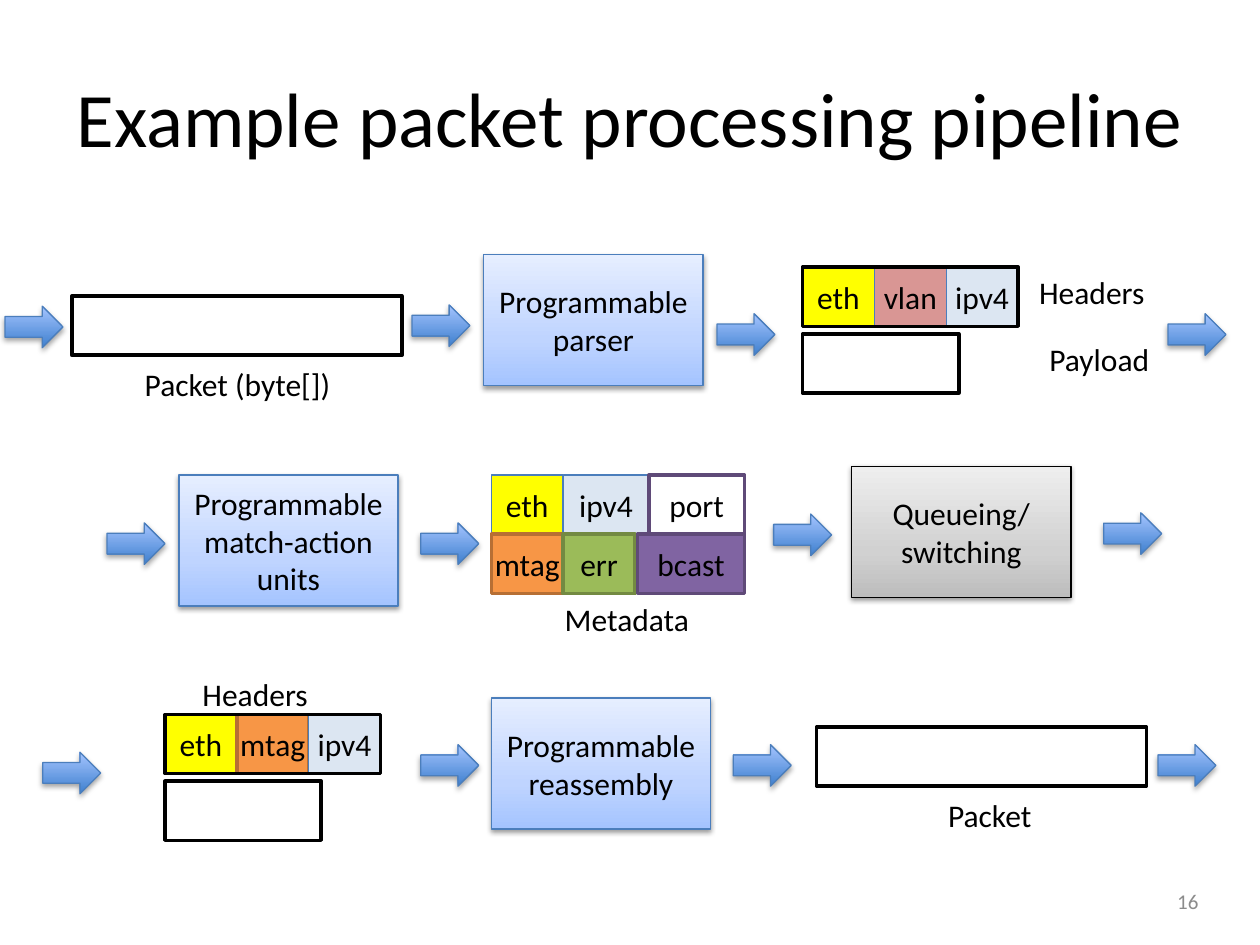
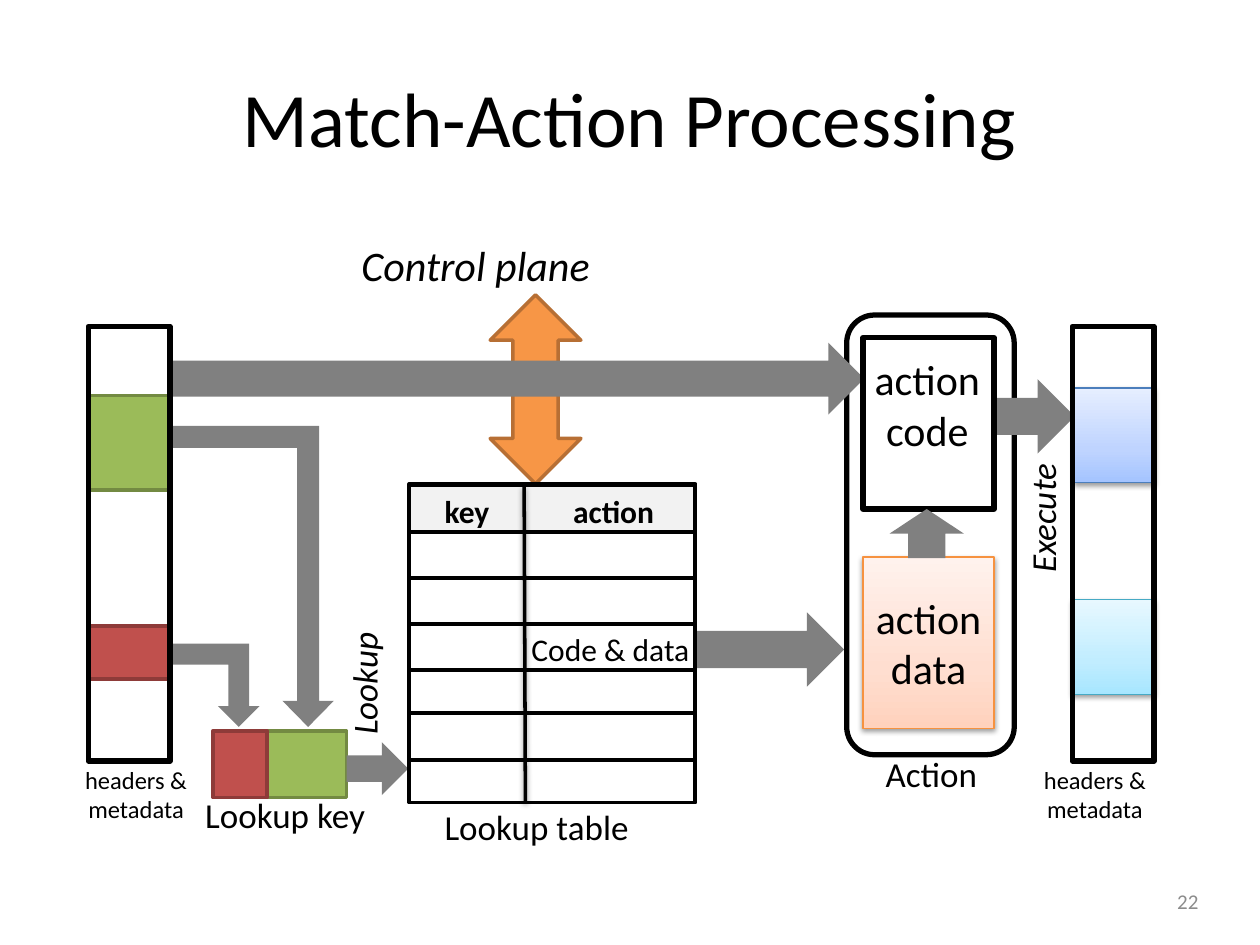
from dataclasses import dataclass
from typing import Iterable, Optional

from lxml.etree import SubElement
from pptx import Presentation
from pptx.dml.color import RGBColor
from pptx.enum.shapes import MSO_CONNECTOR, MSO_SHAPE
from pptx.enum.text import MSO_ANCHOR, MSO_AUTO_SIZE, PP_ALIGN
from pptx.oxml.ns import qn
from pptx.util import Inches, Pt

FONT = "Calibri"
BLACK, WHITE, GRAY = "000000", "FFFFFF", "808080"
BLUE_LINE = "4B7EBC"
FIELD_WIDTH, FIELD_HEIGHT = 0.57, 0.47
STAGE_WIDTH, STAGE_HEIGHT = 1.74, 1.04
ARROW_WIDTH, ARROW_HEIGHT = 0.46, 0.33


@dataclass(frozen=True)
class Shadow:
    """A soft shadow that falls straight down."""
    alpha: int
    distance: float
    blur: float = 3.1


@dataclass(frozen=True)
class Look:
    """Fill (one colour, or gradient colours from the bottom up), outline and shadow."""
    fill: tuple[str, ...] = ()
    line: Optional[str] = None
    line_width: float = 0.75
    shadow: Optional[Shadow] = None


@dataclass(frozen=True)
class Block:
    """A preset shape with optional centred text."""
    left: float
    top: float
    width: float
    height: float
    look: Look
    text: str = ""
    size: int = 18
    kind: MSO_SHAPE = MSO_SHAPE.RECTANGLE
    rotation: int = 0
    flipped: bool = False
    adjustments: tuple[float, ...] = ()


@dataclass(frozen=True)
class Label:
    """Free text in a box that fits it."""
    left: float
    top: float
    width: float
    height: float
    text: str
    size: int = 18
    bold: bool = False
    italic: bool = False
    rotation: int = 0
    align: PP_ALIGN = PP_ALIGN.CENTER
    color: str = BLACK
    fixed: bool = False


@dataclass(frozen=True)
class Field:
    """One packet header or metadata field."""
    text: str
    look: Look
    width: float = FIELD_WIDTH


BOX_SHADOW = Shadow(38, 1.6)
BLUE_BOX = Look(("A4C4FF", "BFD4FF", "E6EEFF"), BLUE_LINE, shadow=BOX_SHADOW)
GRAY_BOX = Look(("BDBDBD", "D1D1D1", "EEEEEE"), BLACK, shadow=BOX_SHADOW)
CYAN_BOX = Look(("A7E6FF", "C1EDFF", "E7F8FF"), "46AAC5", shadow=BOX_SHADOW)
PEACH_BOX = Look(("FFD2BD", "FFDED0", "FFF2ED"), "F69240", shadow=BOX_SHADOW)
FLOW_ARROW = Look(("3F80CE", "A4C4FF"), BLUE_LINE, shadow=Shadow(35, 1.8))
GRAY_ARROW = Look((GRAY,))
PAPER = Look((WHITE,), BLACK, 2)
FRAME = Look((), BLACK, 2)
THICK_FRAME = Look((), BLACK, 3)
TABLE_FRAME = Look((), BLACK, 2.25)
TABLE_HEADER = Look(("F2F2F2",), BLACK, 2.25)
ORANGE = Look(("F79646",), "B76F34", 2)
GREEN = Look(("9BBB59",), "738A42", 2)
RED = Look(("C0504D",), "8E3B39", 2)

ETH = Field("eth", Look(("FFFF00",), BLUE_LINE))
VLAN = Field("vlan", Look(("D99694",), BLUE_LINE))
IPV4 = Field("ipv4", Look(("DCE6F2",), BLUE_LINE))
WIDE_IPV4 = Field("ipv4", IPV4.look, 0.68)
MTAG = Field("mtag", ORANGE)
ERR = Field("err", GREEN)
BCAST = Field("bcast", Look(("8064A2",), "5F4A78", 2), 0.85)
PORT = Field("port", Look((), "5F4A78", 2), 0.76)


def rgb(color: str) -> RGBColor:
    """Turn a hex string into a colour."""
    return RGBColor.from_string(color)


def paint_gradient(shape, colors: tuple[str, ...]) -> None:
    """Fill a shape with a gradient that runs from the bottom up."""
    shape.fill.gradient()
    shape.fill.gradient_angle = 90
    stops = shape.element.spPr.find(qn("a:gradFill")).find(qn("a:gsLst"))
    for stop in list(stops):
        stops.remove(stop)
    positions = (0, 35, 100) if len(colors) == 3 else (0, 100)
    for position, color in zip(positions, colors):
        stop = SubElement(stops, qn("a:gs"), pos=str(position * 1000))
        SubElement(stop, qn("a:srgbClr"), val=color)


def cast_shadow(effects, shadow: Shadow) -> None:
    """Add an outer shadow to an effect list."""
    outer = SubElement(effects, qn("a:outerShdw"), blurRad=str(Pt(shadow.blur)),
                       dist=str(Pt(shadow.distance)), dir="5400000", rotWithShape="0")
    color = SubElement(outer, qn("a:srgbClr"), val=BLACK)
    SubElement(color, qn("a:alpha"), val=str(shadow.alpha * 1000))


def apply_look(shape, look: Look) -> None:
    """Set fill, outline and shadow of a shape."""
    if len(look.fill) > 1:
        paint_gradient(shape, look.fill)
    elif look.fill:
        shape.fill.solid()
        shape.fill.fore_color.rgb = rgb(look.fill[0])
    else:
        shape.fill.background()
    if look.line:
        shape.line.color.rgb = rgb(look.line)
        shape.line.width = Pt(look.line_width)
    else:
        shape.line.fill.background()
    shape.shadow.inherit = False
    if look.shadow:
        cast_shadow(shape.element.spPr.find(qn("a:effectLst")), look.shadow)


def write(shape, text: str, size: int, align: PP_ALIGN = PP_ALIGN.CENTER,
          color: str = BLACK, bold: bool = False, italic: bool = False) -> None:
    """Write text in one style on a shape."""
    shape.text_frame.text = text
    for paragraph in shape.text_frame.paragraphs:
        paragraph.alignment = align
        paragraph.font.name = FONT
        paragraph.font.size = Pt(size)
        paragraph.font.bold = bold
        paragraph.font.italic = italic
        paragraph.font.color.rgb = rgb(color)


def draw_block(slide, block: Block) -> None:
    """Draw one preset shape."""
    shape = slide.shapes.add_shape(block.kind, Inches(block.left), Inches(block.top),
                                   Inches(block.width), Inches(block.height))
    apply_look(shape, block.look)
    shape.rotation = block.rotation
    for index, value in enumerate(block.adjustments):
        shape.adjustments[index] = value
    if block.flipped:
        shape.element.spPr.find(qn("a:xfrm")).set("flipV", "1")
    if block.text:
        write(shape, block.text, block.size)
        shape.text_frame.word_wrap = False
        shape.text_frame.vertical_anchor = MSO_ANCHOR.MIDDLE


def draw_label(slide, label: Label) -> None:
    """Draw one text box."""
    shape = slide.shapes.add_textbox(Inches(label.left), Inches(label.top),
                                     Inches(label.width), Inches(label.height))
    write(shape, label.text, label.size, label.align, label.color, label.bold, label.italic)
    shape.rotation = label.rotation
    frame = shape.text_frame
    frame.word_wrap = label.fixed
    if label.fixed:
        frame.vertical_anchor = MSO_ANCHOR.MIDDLE
    else:
        frame.auto_size = MSO_AUTO_SIZE.SHAPE_TO_FIT_TEXT


def draw_all(slide, items: Iterable[Block | Label]) -> None:
    """Draw blocks and labels from back to front."""
    for item in items:
        if isinstance(item, Block):
            draw_block(slide, item)
        else:
            draw_label(slide, item)


def field_row(left: float, top: float, *fields: Field) -> list[Block]:
    """Place fields side by side."""
    row = []
    for field in fields:
        row.append(Block(left, top, field.width, FIELD_HEIGHT, field.look, field.text))
        left += field.width
    return row


def parsed_packet(left: float, top: float, *fields: Field) -> list[Block]:
    """Place framed headers above a payload."""
    return [*field_row(left, top, *fields),
            Block(left, top, FIELD_WIDTH * len(fields), FIELD_HEIGHT, FRAME),
            Block(left, top + 0.53, 1.24, FIELD_HEIGHT, PAPER)]


def stage(left: float, top: float, text: str, look: Look = BLUE_BOX) -> Block:
    """Make one pipeline stage."""
    return Block(left, top, STAGE_WIDTH, STAGE_HEIGHT, look, text)


def gray_arrow(left: float, top: float, width: float, height: float, rotation: int = 0) -> Block:
    """Make one plain gray arrow."""
    return Block(left, top, width, height, GRAY_ARROW, kind=MSO_SHAPE.RIGHT_ARROW, rotation=rotation)


def add_titled_slide(presentation, title: str, number: int):
    """Add a blank slide with its title and slide number."""
    slide = presentation.slides.add_slide(presentation.slide_layouts[6])
    draw_all(slide, [
        Label(0.5, 0.3, 9, 1.25, title, 44, fixed=True),
        Label(8.57, 6.95, 1.04, 0.4, str(number), 12, align=PP_ALIGN.RIGHT,
              color="8C8C8C", fixed=True)])
    return slide


def build_pipeline(presentation) -> None:
    """Build the packet pipeline slide."""
    slide = add_titled_slide(presentation, "Example packet processing pipeline", 16)
    arrows = [(0.04, 2.43), (3.27, 2.42), (5.69, 2.49), (9.27, 2.49),
              (0.85, 4.15), (3.34, 4.15), (6.14, 4.08), (8.76, 4.07),
              (0.34, 5.97), (3.34, 5.91), (5.82, 5.91), (9.19, 5.91)]
    draw_all(slide, [
        *(Block(left, top, ARROW_WIDTH, ARROW_HEIGHT, FLOW_ARROW, kind=MSO_SHAPE.RIGHT_ARROW)
          for left, top in arrows),
        *(Block(left, top, 2.62, FIELD_HEIGHT, PAPER) for left, top in [(0.57, 2.35), (6.48, 5.77)]),
        stage(3.84, 2.02, "Programmable\nparser"),
        stage(1.42, 3.77, "Programmable\nmatch-action\nunits"),
        stage(6.76, 3.7, "Queueing/\nswitching", GRAY_BOX),
        stage(3.9, 5.54, "Programmable\nreassembly"),
        *parsed_packet(6.37, 2.12, ETH, VLAN, IPV4),
        *parsed_packet(1.31, 5.67, ETH, MTAG, IPV4),
        *field_row(3.9, 3.77, ETH, WIDE_IPV4),
        *field_row(3.9, 4.24, MTAG, ERR),
        *field_row(5.06, 4.24, BCAST),
        *field_row(5.15, 3.77, PORT),
        Label(1.03, 2.85, 1.71, 0.4, "Packet (byte[])"),
        Label(8.14, 2.12, 1.05, 0.4, "Headers"),
        Label(8.22, 2.65, 1.01, 0.4, "Payload"),
        Label(4.37, 4.71, 1.21, 0.4, "Metadata"),
        Label(1.5, 5.31, 1.05, 0.4, "Headers"),
        Label(7.41, 6.27, 0.89, 0.4, "Packet")])


def draw_column_divider(slide) -> None:
    """Draw the line between the key and action columns."""
    divider = slide.shapes.add_connector(MSO_CONNECTOR.STRAIGHT, Inches(4.16), Inches(3.86),
                                         Inches(4.17), Inches(6.36))
    divider.line.color.rgb = rgb(BLACK)
    divider.line.width = Pt(2)
    cast_shadow(SubElement(divider.element.spPr, qn("a:effectLst")), BOX_SHADOW)


def build_match_action(presentation) -> None:
    """Build the match-action slide."""
    slide = add_titled_slide(presentation, "Match-Action Processing", 22)
    bent = MSO_SHAPE.BENT_UP_ARROW
    draw_all(slide, [
        Block(3.25, 3.85, 2.27, 0.37, TABLE_HEADER),
        Block(3.89, 2.34, 0.72, 1.5, ORANGE, kind=MSO_SHAPE.UP_DOWN_ARROW),
        Block(0.7, 3.14, 0.65, 0.75, GREEN),
        Block(0.7, 4.97, 0.65, 0.42, RED),
        Block(1.35, 3.38, 1.3, 2.39, GRAY_ARROW, kind=bent, flipped=True,
              adjustments=(0.134, 0.157, 0.16)),
        Block(1.35, 5.11, 0.71, 0.66, GRAY_ARROW, kind=bent, flipped=True),
        Block(2.12, 5.8, 0.63, 0.53, GREEN),
        Block(1.69, 5.8, 0.43, 0.53, RED),
        gray_arrow(2.75, 5.89, 0.49, 0.42),
        Block(6.72, 2.5, 1.33, 3.49, THICK_FRAME, kind=MSO_SHAPE.ROUNDED_RECTANGLE),
        gray_arrow(1.35, 2.72, 5.51, 0.57),
        Block(6.85, 4.42, 1.04, 1.36, PEACH_BOX, "action\vdata", 24),
        Label(6.82, 2.76, 1.08, 0.91, "action\vcode", 24),
        gray_arrow(7.89, 3.01, 0.64, 0.59),
        Block(8.53, 3.08, 0.63, 0.75, BLUE_BOX),
        Block(8.51, 4.76, 0.65, 0.75, CYAN_BOX),
        *(Block(left, 2.59, 0.65, 3.45, THICK_FRAME) for left in (0.7, 8.51)),
        Block(6.85, 2.68, 1.04, 1.36, THICK_FRAME),
        gray_arrow(5.53, 4.86, 1.17, 0.59),
        gray_arrow(7.16, 3.94, 0.39, 0.59, 270),
        Block(3.25, 3.84, 2.27, 2.53, TABLE_FRAME),
        *(Block(3.25, top, 2.27, 0.37, TABLE_FRAME) for top in (4.22, 4.95, 5.66))])
    draw_column_divider(slide)
    draw_all(slide, [
        *(Label(left, 6.02, 1.02, 0.57, "headers &\nmetadata", 14) for left in (0.57, 8.18)),
        Label(2.77, 1.85, 2.11, 0.5, "Control plane", 24, italic=True, align=PP_ALIGN.LEFT),
        *(Label(left, top, width, 0.44, text, 20, align=PP_ALIGN.LEFT)
          for left, top, width, text in [(1.53, 6.25, 1.54, "Lookup key"),
                                         (3.43, 6.34, 1.67, "Lookup table"),
                                         (6.93, 5.92, 0.94, "Action")]),
        *(Label(left, top, width, 0.44, text, 20, italic=True, rotation=270, align=PP_ALIGN.LEFT)
          for left, top, width, text in [(2.38, 5.2, 1.02, "Lookup"), (7.74, 3.89, 1.07, "Execute")]),
        Label(3.43, 3.86, 0.56, 0.4, "key", bold=True, align=PP_ALIGN.LEFT),
        Label(4.45, 3.86, 0.85, 0.4, "action", bold=True, align=PP_ALIGN.LEFT),
        Label(4.12, 4.95, 1.47, 0.4, "Code & data", align=PP_ALIGN.LEFT)])


def main() -> None:
    """Build and save the presentation."""
    presentation = Presentation()
    presentation.slide_width = Inches(10)
    presentation.slide_height = Inches(7.5)
    build_pipeline(presentation)
    build_match_action(presentation)
    presentation.save("out.pptx")


if __name__ == "__main__":
    main()
